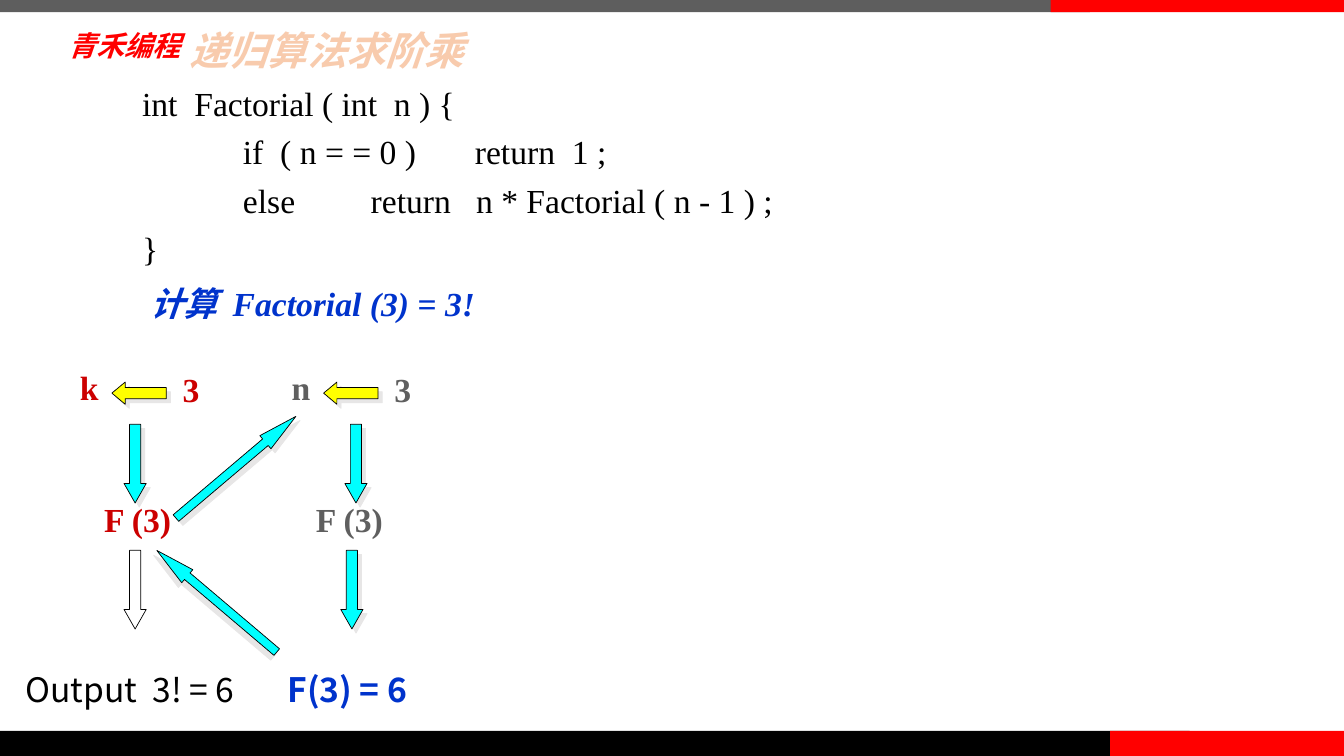
from lxml import etree
from pptx import Presentation
from pptx.dml.color import RGBColor
from pptx.enum.shapes import MSO_SHAPE as SHAPE
from pptx.enum.text import MSO_ANCHOR as ANCHOR, MSO_AUTO_SIZE as AUTO, PP_ALIGN as ALIGN
from pptx.oxml.ns import qn
from pptx.util import Inches, Pt

GRAY, BLACK, RED = RGBColor(0x5E, 0x5E, 0x5E), RGBColor(0, 0, 0), RGBColor(255, 0, 0)
BLUE, CRIMSON = RGBColor(0, 0x33, 0xCC), RGBColor(0xCC, 0, 0)
SLATE, PEACH = RGBColor(0x5F, 0x5F, 0x5F), RGBColor(0xF8, 0xCB, 0xAD)
CYAN, YELLOW = RGBColor(0, 255, 255), RGBColor(255, 255, 0)
SHADOW = "E7E6E6"
SERIF, SANS, BRAND_FONT = "Times New Roman", "Noto Sans CJK SC", "Roboto"

# Content
TITLE = "递归算法求阶乘"
BRAND = "青禾编程"
TASK = "计算  Factorial (3) = 3!"
CODE = [
    "int  Factorial ( int  n ) {",
    "\tif  ( n = = 0 )       return  1 ;",
    "   \telse         return   n * Factorial ( n - 1 ) ;",
    "}",
]
BARS = [  # left, top, width, height, colour
    (0, 0, 10.81, 0.12, GRAY),
    (0, 7.25, 11.8, 0.25, BLACK),
    (11.01, 7.25, 2.32, 0.25, RED),
    (10.42, 0, 2.91, 0.12, RED),
]
CALLS = [("k", 0.66, CRIMSON), ("n", 2.76, SLATE)]  # variable, left, colour
ARGUMENT, CALL = "3", "F (3)"
RESULTS = [  # text, left, width, colour, bold
    ("Output  3! = 6", 0.12, 2.34, BLACK, False),
    ("F(3) = 6", 2.72, 1.45, BLUE, True),
]
DOWN_ARROWS = [(0.95, 4.49, CYAN), (0.95, 5.74, None), (3.14, 4.49, CYAN), (3.1, 5.74, CYAN)]
LABEL_H, ROW_Y, CALL_Y, RESULT_Y = 0.54, 3.57, 4.88, 6.57
CODE_TAB = Inches(1)

prs = Presentation()
prs.slide_width, prs.slide_height = Inches(13.33), Inches(7.5)
slide = prs.slides.add_slide(prs.slide_layouts[5])
shapes = slide.shapes


def write(box, lines, font, anchor=ANCHOR.MIDDLE, align=ALIGN.LEFT, wrap=True,
          spacing=None, margins=(0.13, 0.07)):
    """Fill a text box; font is a dict of font attributes."""
    frame = box.text_frame
    side, end = map(Inches, margins)
    layout = dict(margin_left=side, margin_right=side, margin_top=end, margin_bottom=end,
                  auto_size=AUTO.NONE, word_wrap=wrap, vertical_anchor=anchor)
    for name, value in layout.items():
        setattr(frame, name, value)
    for i, line in enumerate(lines):
        para = frame.paragraphs[0] if i == 0 else frame.add_paragraph()
        para.alignment = align
        if spacing:
            para.line_spacing = spacing
        if "\t" in line:
            tabs = etree.SubElement(para._p.get_or_add_pPr(), qn("a:tabLst"))
            etree.SubElement(tabs, qn("a:tab"), pos=str(CODE_TAB), algn="l")
        run = para.add_run()
        run.text = line
        for name, value in font.items():
            if name == "color":
                run.font.color.rgb = value
            else:
                setattr(run.font, name, value)
        etree.SubElement(run.font._element, qn("a:ea"), typeface=SANS)


def text_box(left, top, width, height, lines, font, **layout):
    box = shapes.add_textbox(*map(Inches, (left, top, width, height)))
    write(box, lines, font, **layout)


def label(left, top, width, text, color, name=SERIF, bold=True):
    font = dict(size=Pt(24), name=name, bold=bold, color=color)
    text_box(left, top, width, LABEL_H, [text], font, align=ALIGN.CENTER, wrap=False)


def arrow(kind, left, top, width, height, fill, head, rotation=0, shadow_angle=45):
    """Black-edged block arrow; one without fill has no shadow."""
    shape = shapes.add_shape(kind, *map(Inches, (left, top, width, height)))
    shape.rotation = rotation
    shape.adjustments[0], shape.adjustments[1] = 0.5, head
    shape.line.color.rgb = BLACK
    shape.line.width = Pt(0.5)
    shape.shadow.inherit = False
    if fill is None:
        shape.fill.background()
        return
    shape.fill.solid()
    shape.fill.fore_color.rgb = fill
    effects = shape._element.spPr.find(qn("a:effectLst"))
    outer = etree.SubElement(effects, qn("a:outerShdw"), dist=str(Pt(4.2)),
                             dir=str(shadow_angle * 60000), algn="ctr", rotWithShape="0")
    etree.SubElement(outer, qn("a:srgbClr"), val=SHADOW)


# Bars along the top and bottom edges
for left, top, width, height, color in BARS:
    bar = shapes.add_shape(SHAPE.RECTANGLE, *map(Inches, (left, top, width, height)))
    bar.shadow.inherit = False
    bar.fill.solid()
    bar.fill.fore_color.rgb = color
    bar.line.fill.background()

# Heading
text_box(0.62, 0.22, 1.28, 0.45, [BRAND], margins=(0.06, 0.06),
         font=dict(size=Pt(20), name=BRAND_FONT, bold=True, italic=True, color=RED))
title = shapes.title
title.left, title.top, title.width, title.height = map(Inches, (1.75, 0.28, 11.12, 0.48))
write(title, [TITLE], anchor=ANCHOR.TOP, spacing=0.8,
      font=dict(size=Pt(28), name=SANS, bold=True, italic=True, color=PEACH))

# Code and task
text_box(1.28, 0.66, 8.14, 2.08, CODE, spacing=1.2,
         font=dict(size=Pt(24), name=SERIF, color=BLACK))
text_box(1.36, 2.74, 3.53, 0.54, [TASK],
         font=dict(size=Pt(24), name=SERIF, bold=True, italic=True, color=BLUE))

# Each call: variable, its argument and the function called
for variable, left, color in CALLS:
    label(left, ROW_Y, 0.45, variable, color)
    label(left + 1.02, ROW_Y + 0.02, 0.43, ARGUMENT, color)
    label(left + 0.24, CALL_Y, 0.93, CALL, color)
    arrow(SHAPE.LEFT_ARROW, left + 0.45, 3.79, 0.54, 0.22, YELLOW, 0.6)

# Steps down, into the call and back out
for left, top, fill in DOWN_ARROWS:
    arrow(SHAPE.RIGHT_ARROW, left, top, 0.78, 0.22, fill, 0.88, rotation=90)
arrow(SHAPE.RIGHT_ARROW, 1.56, 4.55, 1.56, 0.17, CYAN, 2.33, rotation=319.7)
arrow(SHAPE.LEFT_ARROW, 1.37, 5.88, 1.56, 0.17, CYAN, 2.33, rotation=40.3, shadow_angle=124)

# Results
for text, left, width, color, bold in RESULTS:
    label(left, RESULT_Y, width, text, color, SANS, bold)

prs.save("out.pptx")
